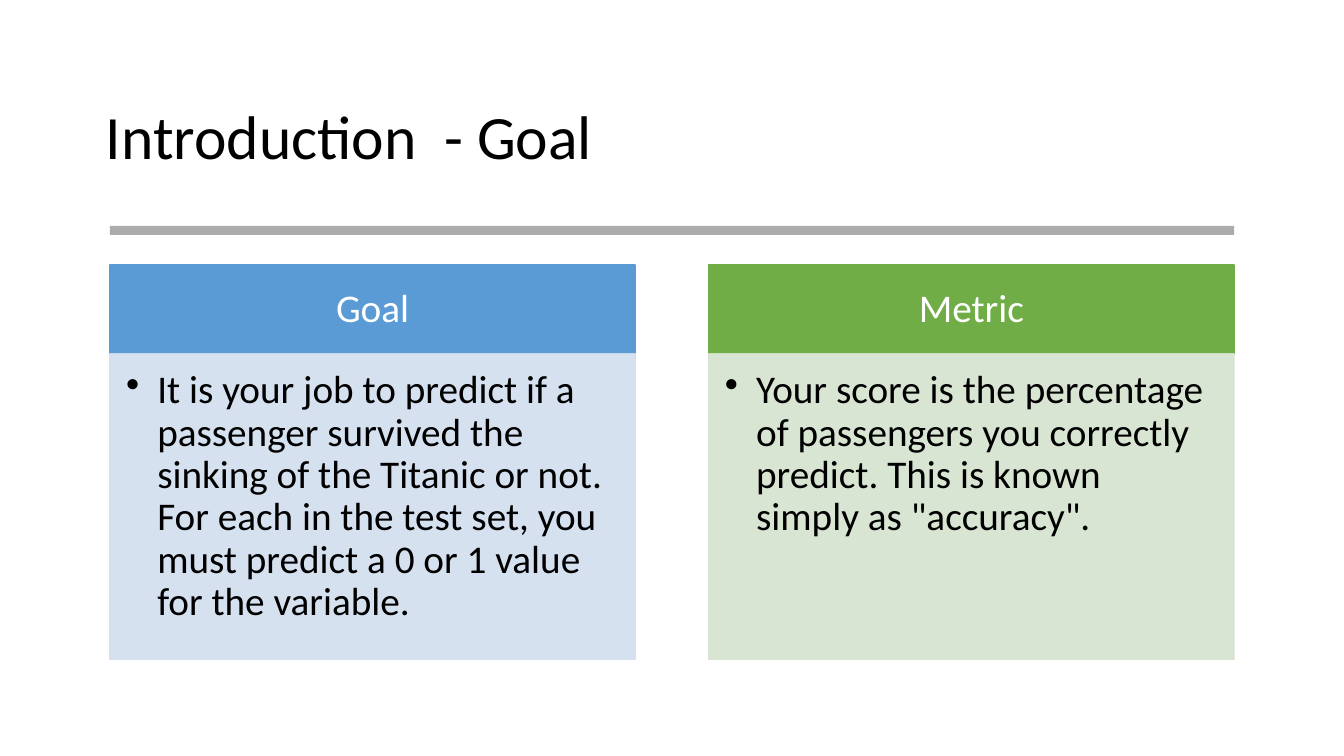
import pptx
import pptx.util
import pptx.dml.color
import pptx.enum.shapes
import pptx.enum.text
import pptx.oxml
import pptx.oxml.ns
from dataclasses import dataclass

TITLE = "Introduction  - Goal"
CARDS = [
    {
        "heading": "Goal",
        "lines": (
            "It is your job to predict if a passenger survived the sinking of the Titanic or not. ",
            "For each in the test set, you must predict a 0 or 1 value for the variable.",
        ),
        "header_color": "5B9BD5",
        "body_color": "D2DEEF",
    },
    {
        "heading": "Metric",
        "lines": (
            "Your score is the percentage of passengers you correctly predict. "
            'This is known simply as "accuracy".',
        ),
        "header_color": "70AD47",
        "body_color": "D5E3CF",
    },
]


@dataclass(frozen=True)
class Theme:
    font: str = "Calibri"
    title_size: int = 44
    text_size: int = 28
    ink: str = "000000"
    light: str = "FFFFFF"
    rule: str = "808080"
    rule_opacity: int = 65
    body_opacity: int = 90


THEME = Theme()
SLIDE_WIDTH, SLIDE_HEIGHT = 13.33, 7.5
TITLE_BOX = (0.95, 0.66, 11.43, 1.45)
GRID_LEFT, GRID_WIDTH = 1.09, 11.15
RULE_TOP, RULE_HEIGHT = 2.24, 0.09
GUTTER = 0.73
HEADER_TOP, HEADER_HEIGHT, BODY_HEIGHT = 2.63, 0.88, 3.03
HEADER_INSETS = (0.22, 0.12, 0.22, 0.12)
BODY_INSETS = (0.16, 0.16, 0.22, 0.24)
BULLET_INDENT = 0.31


def rgb(color):
    return pptx.dml.color.RGBColor.from_string(color)


def write_text(shape, lines, size=THEME.text_size, color=THEME.ink, align="LEFT",
               anchor="MIDDLE", insets=(0.1, 0.05, 0.1, 0.05), bullet=False):
    frame = shape.text_frame
    frame.word_wrap = True
    frame.auto_size = pptx.enum.text.MSO_AUTO_SIZE.NONE
    frame.vertical_anchor = pptx.enum.text.MSO_ANCHOR[anchor]
    for side, inset in zip(("left", "top", "right", "bottom"), insets):
        setattr(frame, f"margin_{side}", pptx.util.Inches(inset))
    paragraph = frame.paragraphs[0]
    paragraph.alignment = pptx.enum.text.PP_ALIGN[align]
    paragraph.line_spacing = 0.9
    if bullet:
        properties = paragraph._p.get_or_add_pPr()
        indent = pptx.util.Inches(BULLET_INDENT)
        properties.set("marL", str(indent))
        properties.set("indent", str(-indent))
        mark = pptx.oxml.parse_xml(f'<a:buChar {pptx.oxml.ns.nsdecls("a")} char="•"/>')
        properties.append(mark)
    for index, line in enumerate(lines):
        if index:
            paragraph.add_line_break()
        run = paragraph.add_run()
        run.text = line
        run.font.name = THEME.font
        run.font.size = pptx.util.Pt(size)
        run.font.color.rgb = rgb(color)


def paint(fill, color, opacity):
    fill.solid()
    fill.fore_color.rgb = rgb(color)
    if opacity < 100:
        solid = fill._xPr.find(pptx.oxml.ns.qn("a:solidFill"))
        solid[0].append(pptx.oxml.parse_xml(
            f'<a:alpha {pptx.oxml.ns.nsdecls("a")} val="{opacity * 1000}"/>'))


def add_panel(slide, box, color, opacity=100, outlined=True):
    shape = slide.shapes.add_shape(
        pptx.enum.shapes.MSO_SHAPE.RECTANGLE, *map(pptx.util.Inches, box))
    shape.shadow.inherit = False
    paint(shape.fill, color, opacity)
    if outlined:
        shape.line.width = pptx.util.Pt(1)
        paint(shape.line.fill, color, opacity)
    else:
        shape.line.fill.background()
    return shape


def add_card(slide, card, left, width):
    header = add_panel(slide, (left, HEADER_TOP, width, HEADER_HEIGHT), card["header_color"])
    write_text(header, [card["heading"]], color=THEME.light, align="CENTER",
               insets=HEADER_INSETS)
    body = add_panel(slide, (left, HEADER_TOP + HEADER_HEIGHT, width, BODY_HEIGHT),
                     card["body_color"], THEME.body_opacity)
    write_text(body, card["lines"], anchor="TOP", insets=BODY_INSETS, bullet=True)


def main():
    presentation = pptx.Presentation()
    presentation.slide_width = pptx.util.Inches(SLIDE_WIDTH)
    presentation.slide_height = pptx.util.Inches(SLIDE_HEIGHT)
    slide = presentation.slides.add_slide(presentation.slide_layouts[5])

    title = slide.shapes.title
    title.left, title.top, title.width, title.height = map(pptx.util.Inches, TITLE_BOX)
    write_text(title, [TITLE], size=THEME.title_size)

    add_panel(slide, (GRID_LEFT, RULE_TOP, GRID_WIDTH, RULE_HEIGHT),
              THEME.rule, THEME.rule_opacity, outlined=False)

    card_width = (GRID_WIDTH - GUTTER * (len(CARDS) - 1)) / len(CARDS)
    for column, card in enumerate(CARDS):
        add_card(slide, card, GRID_LEFT + column * (card_width + GUTTER), card_width)

    presentation.save("out.pptx")


if __name__ == "__main__":
    main()
